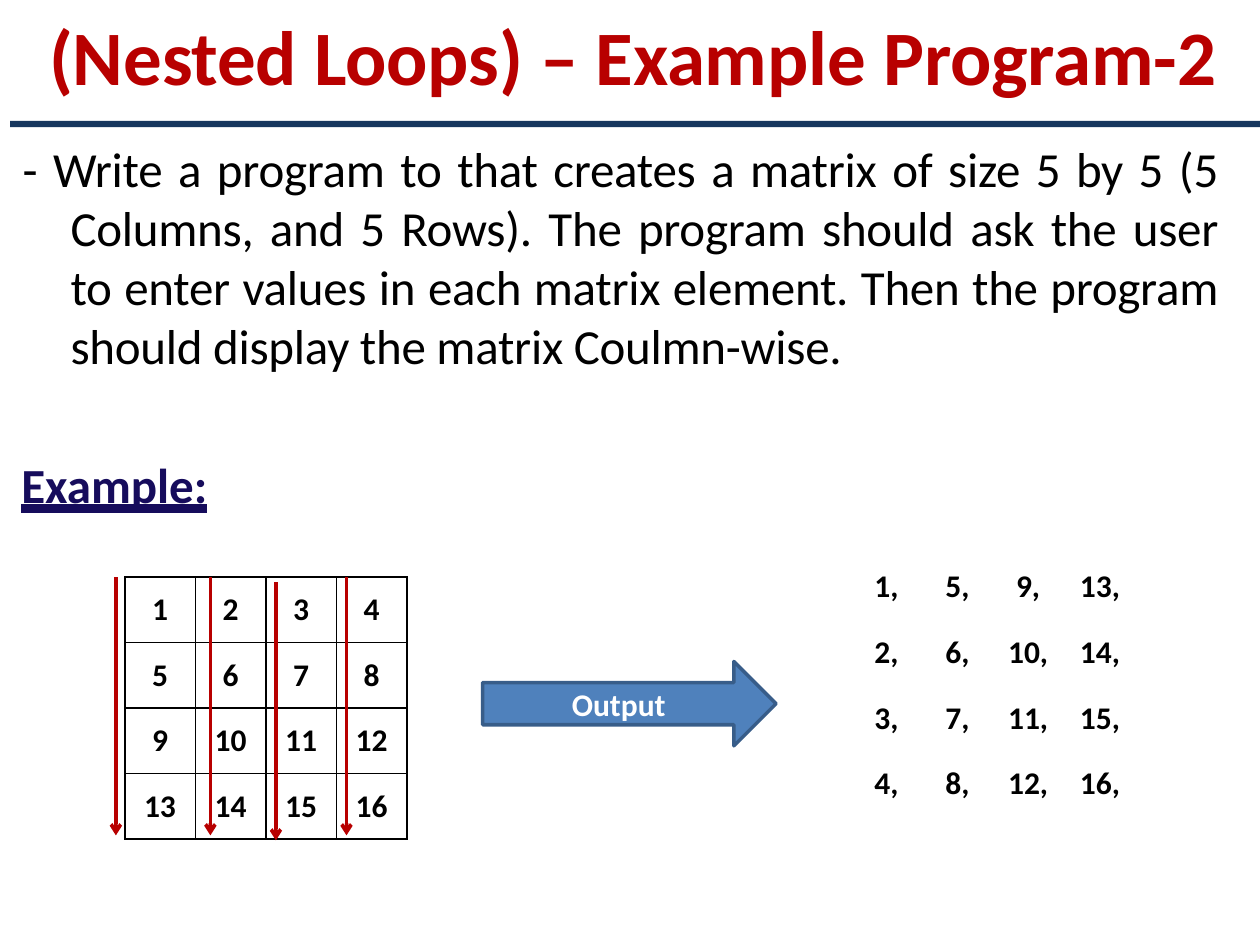
from lxml.etree import SubElement
from pptx import Presentation
from pptx.dml.color import RGBColor
from pptx.enum.shapes import MSO_CONNECTOR, MSO_SHAPE
from pptx.enum.text import MSO_ANCHOR, MSO_UNDERLINE, PP_ALIGN
from pptx.oxml.ns import qn
from pptx.util import Inches, Pt

COLORS = {
    "title": "B80000",
    "rule": "17375E",
    "text": "000000",
    "heading": "160C5C",
    "arrow": "4F81BC",
    "arrow_edge": "385D89",
    "white": "FFFFFF",
}
SIZE = 4


def rgb(name):
    return RGBColor.from_string(COLORS[name])


class SlideBuilder:
    font_name = "Calibri"

    def __init__(self, slide):
        self.slide = slide
        self.shapes = slide.shapes

    def style(self, paragraph, size, color="text", bold=False, tracking=0):
        """Format every run; tracking is in hundredths of a point."""
        for run in paragraph.runs:
            font = run.font
            font.name, font.size, font.bold = self.font_name, Pt(size), bold
            font.color.rgb = rgb(color)
            run._r.get_or_add_rPr().set("spc", str(tracking))

    def text_box(self, left, top, width, height, lines, wrap=True):
        box = self.shapes.add_textbox(
            Inches(left), Inches(top), Inches(width), Inches(height))
        frame = box.text_frame
        frame.word_wrap = wrap
        frame.margin_left = frame.margin_right = frame.margin_bottom = 0
        frame.margin_top = Inches(0.01)
        frame.text = "\n".join(lines)
        return frame.paragraphs

    def block(self, preset, left, top, width, height, fill, edge=None):
        shape = self.shapes.add_shape(
            preset, Inches(left), Inches(top), Inches(width), Inches(height))
        shape.shadow.inherit = False
        shape.fill.solid()
        shape.fill.fore_color.rgb = rgb(fill)
        if edge:
            shape.line.color.rgb = rgb(edge)
            shape.line.width = Pt(2)
        else:
            shape.line.fill.background()
        return shape

    def down_arrow(self, x, top, length):
        arrow = self.shapes.add_connector(
            MSO_CONNECTOR.STRAIGHT,
            Inches(x), Inches(top), Inches(x), Inches(top + length))
        arrow.line.color.rgb = rgb("title")
        arrow.line.width = Pt(2)
        SubElement(arrow.line._get_or_add_ln(), qn("a:tailEnd"), type="arrow")
        SubElement(arrow._element.spPr, qn("a:effectLst"))

    def borders(self, cell, color):
        properties = cell._tc.get_or_add_tcPr()
        for side in ("lnL", "lnR", "lnT", "lnB"):
            line = SubElement(properties, qn(f"a:{side}"), w=str(Pt(1)))
            if color:
                fill = SubElement(line, qn("a:solidFill"))
                SubElement(fill, qn("a:srgbClr"), val=COLORS[color])
            else:
                SubElement(line, qn("a:noFill"))

    def table(self, left, top, widths, heights, values, border=None):
        frame = self.shapes.add_table(
            len(heights), len(widths), Inches(left), Inches(top),
            Inches(sum(widths)), Inches(sum(heights)))
        table = frame.table
        table.first_row = table.horz_banding = False
        for column, width in zip(table.columns, widths):
            column.width = Inches(width)
        for row, height in zip(table.rows, heights):
            row.height = Inches(height)
        for cell, value in zip(table.iter_cells(), values):
            self.borders(cell, border)
            cell.fill.background()
            cell.margin_left = cell.margin_right = 0
            cell.margin_top = cell.margin_bottom = 0
            cell.vertical_anchor = MSO_ANCHOR.MIDDLE
            cell.text = value
            paragraph = cell.text_frame.paragraphs[0]
            paragraph.alignment = PP_ALIGN.CENTER
            self.style(paragraph, 18, bold=True)
        return table


def main():
    presentation = Presentation()
    presentation.slide_width, presentation.slide_height = Inches(10), Inches(7.5)
    builder = SlideBuilder(
        presentation.slides.add_slide(presentation.slide_layouts[6]))

    title = builder.text_box(
        0.39, 0.06, 9.34, 0.76, ["(Nested Loops) – Example Program-2"], wrap=False)[0]
    builder.style(title, 44, "title", bold=True, tracking=-10)
    builder.block(MSO_SHAPE.RECTANGLE, 0.08, 0.96, 9.92, 0.05, "rule")

    task, example = builder.text_box(0.17, 1.09, 9.5, 3.01, [
        "- Write a program to that creates a matrix of size 5 by 5 (5 Columns, "
        "and 5 Rows). The program should ask the user to enter values in each "
        "matrix element. Then the program should display the matrix Coulmn-wise.",
        "Example:",
    ])
    task.alignment = PP_ALIGN.JUSTIFY
    indent = task._p.get_or_add_pPr()
    indent.set("marL", str(Inches(0.39)))
    indent.set("indent", str(Inches(-0.38)))
    builder.style(task, 28, tracking=-15)
    example.space_before = Pt(46)
    builder.style(example, 28, "heading", bold=True)
    example.runs[0].font.underline = MSO_UNDERLINE.HEAVY_LINE

    cells = [(row, column) for row in range(SIZE) for column in range(SIZE)]
    builder.table(
        0.99, 4.58, [0.56] * SIZE, [0.52] * SIZE,
        [str(SIZE * row + column + 1) for row, column in cells], border="text")

    output = builder.block(
        MSO_SHAPE.RIGHT_ARROW, 3.83, 5.25, 2.33, 0.67, "arrow", "arrow_edge")
    label = output.text_frame
    label.margin_top = label.margin_bottom = 0
    label.text = "Output"
    label.paragraphs[0].alignment = PP_ALIGN.CENTER
    builder.style(label.paragraphs[0], 18, "white", bold=True)

    result = builder.table(
        6.8, 4.57, [0.52, 0.53, 0.59, 0.58], [0.39, 0.52, 0.52, 0.39],
        [f"{SIZE * column + row + 1}," for row, column in cells])
    for (row, column), cell in zip(cells, result.iter_cells()):
        cell.vertical_anchor = MSO_ANCHOR.TOP
        paragraph = cell.text_frame.paragraphs[0]
        if row == 0:
            paragraph.line_spacing = Pt(17.1)
        else:
            cell.margin_top = Inches(0.07)
        if column == 0:
            paragraph.alignment = PP_ALIGN.LEFT
            cell.margin_left = Inches(0.14)
        elif column < SIZE - 1:
            cell.margin_left = Inches(0.03)

    for x, top in ((0.92, 4.58), (1.67, 4.58), (2.19, 4.62), (2.75, 4.58)):
        builder.down_arrow(x, top, 2.05)

    presentation.save("out.pptx")


if __name__ == "__main__":
    main()
